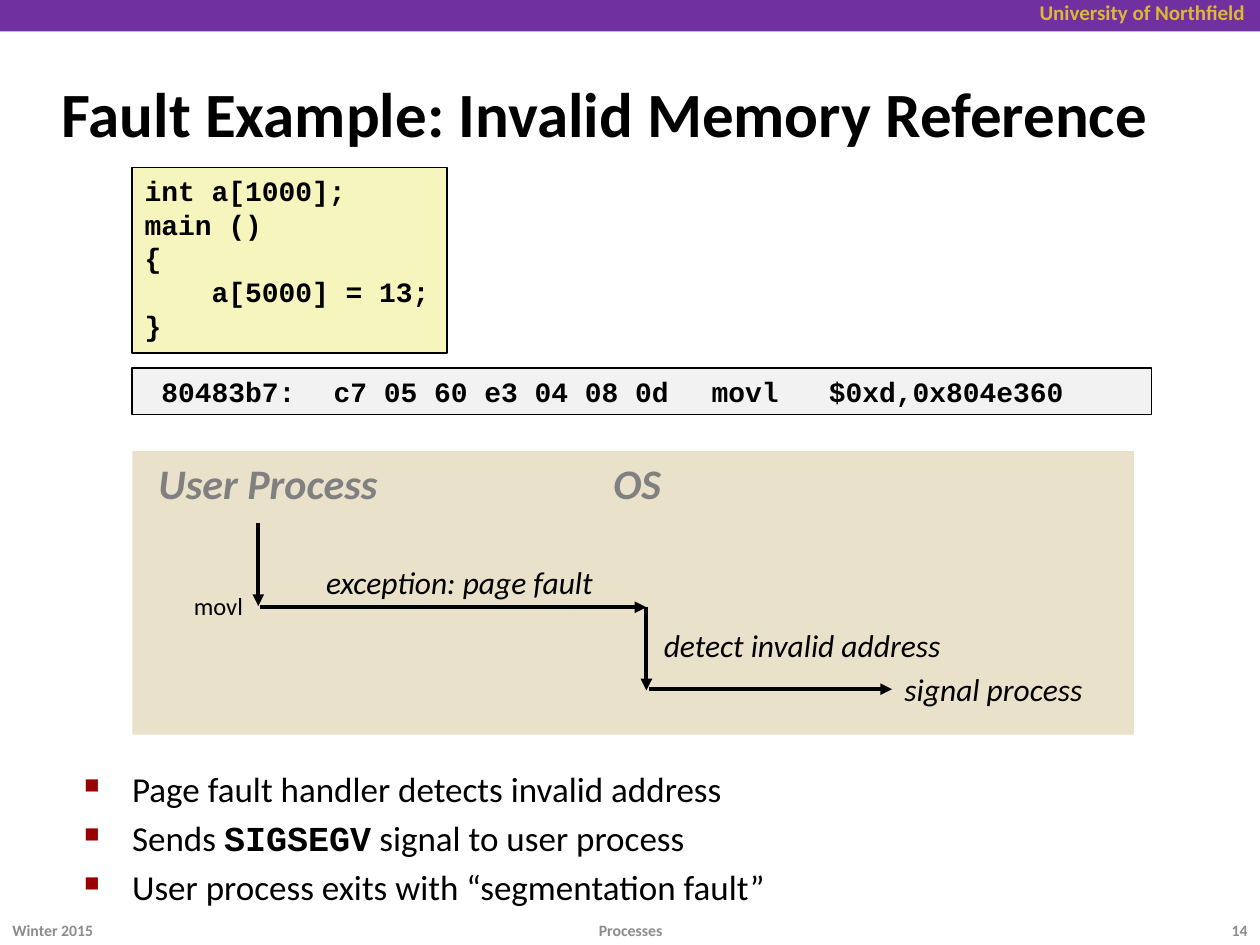
from lxml import etree
from pptx import Presentation, util as u
from pptx.dml.color import RGBColor
from pptx.enum import shapes, text
from pptx.oxml import ns

prs = Presentation()
prs.slide_width, prs.slide_height = u.Inches(10), u.Inches(7.5)
s = prs.slides.add_slide(prs.slide_layouts[5])
COL = prs.slide_width // 100  # grid of 100 columns by 75 rows
ROW = prs.slide_height // 75
LEFT, CENTER, RIGHT = text.PP_ALIGN.LEFT, text.PP_ALIGN.CENTER, text.PP_ALIGN.RIGHT
TOP, MIDDLE = text.MSO_ANCHOR.TOP, text.MSO_ANCHOR.MIDDLE
rgb = RGBColor.from_string


def write(sp, words, size, color="000000", font="Calibri", bold=False,
          italic=False, align=LEFT, anchor=TOP):
    tf = sp.text_frame
    tf.text = words
    tf.word_wrap = True
    tf.auto_size = text.MSO_AUTO_SIZE.NONE
    tf.vertical_anchor = anchor
    if align == LEFT:
        tf.margin_right = 0
    for p in tf.paragraphs:
        p.alignment = align
        for r in p.runs:
            f = r.font
            f.name, f.size, f.bold, f.italic = font, u.Pt(size), bold, italic
            f.color.rgb = rgb(color)
    return tf


def box(x, y, w, h, fill=None, line=None):
    """Add a filled rectangle, or a text box when there is no fill."""
    at = [int(v) for v in (x * COL, y * ROW, w * COL, h * ROW)]
    if fill is None:
        return s.shapes.add_textbox(*at)
    sp = s.shapes.add_shape(shapes.MSO_SHAPE.RECTANGLE, *at)
    sp.shadow.inherit = False
    sp.fill.solid()
    sp.fill.fore_color.rgb = rgb(fill)
    if line:
        sp.line.color.rgb = rgb(line)
        sp.line.width = u.Pt(1)
    else:
        sp.line.fill.background()
    return sp


# Header band and title
box(0, 0, 100, 2.5, "7030A0")
write(box(73.3, -0.5, 26.5, 3), "University of Northfield", 12, "DCB834",
      bold=True, align=RIGHT)
title = s.shapes.title
title.left, title.top = int(3.9 * COL), int(4.8 * ROW)
title.width, title.height = int(91.9 * COL), int(8.3 * ROW)
write(title, "Fault Example: Invalid Memory Reference", 36, bold=True, anchor=MIDDLE)

# Source code and its machine instruction
code = "int a[1000];\nmain ()\n{\n    a[5000] = 13;\n}"
instruction = " 80483b7:\tc7 05 60 e3 04 08 0d \tmovl   $0xd,0x804e360"
for y, w, h, fill, words in [(13.3, 25, 14.7, "F6F5BD", code),
                             (29.2, 80.9, 3.7, "F2F2F2", instruction)]:
    write(box(10.5, y, w, h, fill, "000000"), words, 16, font="Courier New", bold=True)

# Control flow between the process and the OS
box(10.5, 35.8, 79.5, 22.5, "E9E1C9")
for x, w, words in [(11.6, 19.7, "User Process"), (47.7, 5.9, "OS")]:
    write(box(x, 35.8, w, 5), words, 24, "808080", bold=True, italic=True)
for x, y, w, words in [(24.9, 44.2, 23.4, "exception: page fault"),
                       (51.7, 49.2, 25, "detect invalid address"),
                       (70.8, 52.7, 17.5, "signal process")]:
    write(box(x, y, w, 4), words, 18, italic=True)
write(box(14.4, 46.4, 6, 3.4), "movl", 14)

for x1, y1, x2, y2 in [(20.5, 41.5, 20.5, 48.1), (20.6, 48.2, 51.3, 48.2),
                       (51.3, 48.2, 51.3, 54.8), (51.5, 54.7, 70.8, 54.7)]:
    arrow = s.shapes.add_connector(shapes.MSO_CONNECTOR.STRAIGHT, int(x1 * COL),
                                   int(y1 * ROW), int(x2 * COL), int(y2 * ROW))
    arrow.line.color.rgb = rgb("000000")
    arrow.line.width = u.Pt(2.25)
    etree.SubElement(arrow.line._get_or_add_ln(), ns.qn("a:tailEnd"), type="triangle")
    etree.SubElement(arrow._element.spPr, ns.qn("a:effectLst"))

# Bulleted summary
tf = write(box(5.7, 60.4, 73.3, 13.7),
           "Page fault handler detects invalid address\nSends \n"
           "User process exits with “segmentation fault”", 20)
sends = tf.paragraphs[1]
for words, font, bold in [("SIGSEGV", "Courier New", True),
                          (" signal to user process", "Calibri", False)]:
    r = sends.add_run()
    r.text = words
    r.font.name, r.font.size, r.font.bold = font, u.Pt(20), bold
    r.font.color.rgb = rgb("000000")
for p in tf.paragraphs:
    p.space_before = u.Pt(4)
    pPr = p._p.get_or_add_pPr()
    pPr.set("marL", str(u.Inches(0.38)))
    pPr.set("indent", str(-u.Inches(0.38)))
    color = etree.SubElement(pPr, ns.qn("a:buClr"))
    etree.SubElement(color, ns.qn("a:srgbClr"), val="990000")
    etree.SubElement(pPr, ns.qn("a:buSzPct"), val="60000")
    etree.SubElement(pPr, ns.qn("a:buChar"), char="■")

# Footer
for x, w, words, align in [(0, 30, "Winter 2015", LEFT),
                           (34.2, 31.7, "Processes", CENTER),
                           (93.3, 6.7, "14", RIGHT)]:
    write(box(x, 71.8, w, 4), words, 9, "8C8C8C", bold=True, align=align, anchor=MIDDLE)

prs.save("out.pptx")
